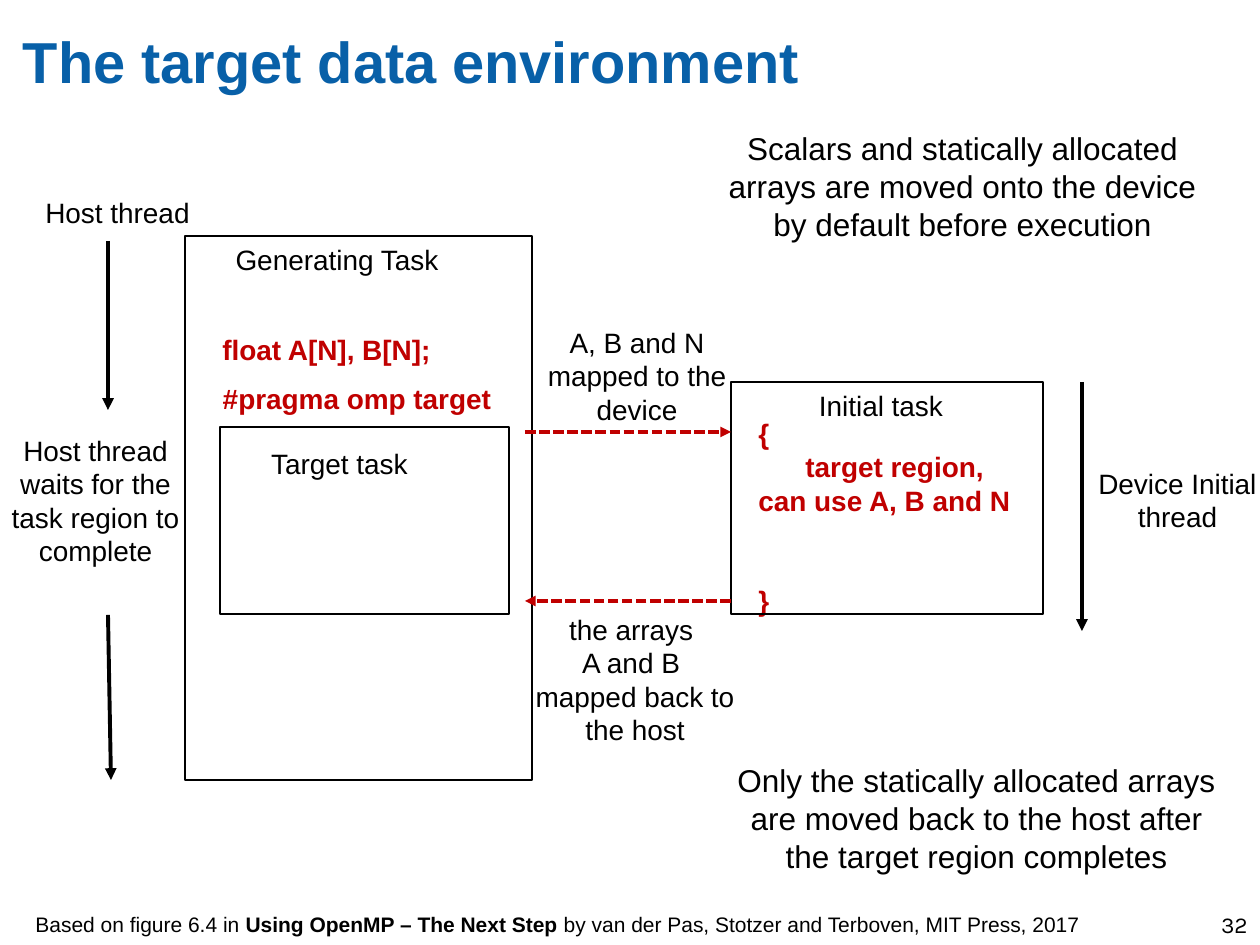
from dataclasses import dataclass

from lxml import etree
from pptx import Presentation
from pptx import util as u
from pptx.dml.color import RGBColor
from pptx.enum import dml, shapes, text
from pptx.oxml.ns import qn

PX_PER_INCH = 126
LEFT, CENTER, RIGHT = text.PP_ALIGN.LEFT, text.PP_ALIGN.CENTER, text.PP_ALIGN.RIGHT


@dataclass(frozen=True)
class Theme:
    title: str = "0860A8"
    ink: str = "000000"
    code: str = "C00000"
    font: str = "Arial"
    number_font: str = "Karla"
    title_size: int = 33
    note_size: int = 18
    label_size: int = 16
    number_size: int = 13
    source_size: int = 12


THEME = Theme()


def px(length):
    return u.Emu(round(length * u.Inches(1) / PX_PER_INCH))


def set_all(target, values):
    for name, value in values.items():
        setattr(target, name, value)


def add_spans(para, spans, size, color, font):
    """Write (wording, bold) spans; a newline in the wording is a line break."""
    for wording, bold in spans:
        for index, line in enumerate(wording.split("\n")):
            if index:
                para.add_line_break()
            span = para.add_run()
            span.text = line
            set_all(span.font, {"name": font, "size": u.Pt(size), "bold": bold})
            span.font.color.rgb = RGBColor.from_string(color)


def add_text(page, area, paras, size=THEME.label_size, color=THEME.ink, bold=False,
             align=CENTER, font=THEME.font, frame_format=None):
    """Each paragraph is a string or a list of (wording, bold) spans."""
    box = page.shapes.add_textbox(*map(px, area))
    frame = box.text_frame
    set_all(frame, {"word_wrap": True, **(frame_format or {})})
    for index, content in enumerate(paras):
        para = frame.add_paragraph() if index else frame.paragraphs[0]
        para.alignment = align
        spans = [(content, bold)] if isinstance(content, str) else content
        add_spans(para, spans, size, color, font)
    return frame


def add_frame(page, area):
    frame = page.shapes.add_shape(shapes.MSO_SHAPE.RECTANGLE, *map(px, area))
    frame.shadow.inherit = False
    frame.fill.background()
    frame.line.color.rgb = RGBColor.from_string(THEME.ink)
    frame.line.width = u.Pt(1.5)


def add_arrow(page, start, end, color=THEME.ink, width=2.25, dash=None):
    arrow = page.shapes.add_connector(
        shapes.MSO_CONNECTOR.STRAIGHT, *map(px, start + end))
    arrow.line.color.rgb = RGBColor.from_string(color)
    set_all(arrow.line, {"width": u.Pt(width), "dash_style": dash})
    properties = arrow._element.spPr
    etree.SubElement(properties.find(qn("a:ln")), qn("a:tailEnd"), type="triangle")
    etree.SubElement(properties, qn("a:effectLst"))


def add_target_region(page):
    frame = add_text(
        page, (746, 410, 296, 217),
        ["{", "target region, can use A, B and N", "}"],
        color=THEME.code, bold=True, align=LEFT)
    _, body, closing = frame.paragraphs
    body._p.get_or_add_pPr().set("indent", str(px(47)))
    closing.space_before = u.Pt(38)


def add_labels(page):
    labels = [
        ((14, 189, 207, 47), ["Host thread"]),
        ((220, 236, 234, 47), ["Generating Task"]),
        ((764, 382, 234, 47), ["Initial task"]),
        ((232, 440, 215, 47), ["Target task"]),
        ((1074, 460, 207, 81), ["Device Initial thread"]),
        ((-8, 427, 207, 149),
         ["Host thread", "waits for the task region to complete"]),
        ((520, 319, 234, 115), ["A, B and N mapped to the device"]),
        ((518, 606, 234, 149), ["the arrays \nA and B \nmapped back to the host"]),
    ]
    for area, paras in labels:
        add_text(page, area, paras)

    for area, code in [((193, 326, 267, 47), "float A[N], B[N];"),
                       ((181, 375, 352, 47), "#pragma omp target")]:
        add_text(page, area, [code], color=THEME.code, bold=True)

    notes = [
        ((704, 123, 517, 127), "Scalars and statically allocated arrays are moved "
                               "onto the device by default before execution"),
        ((718, 755, 517, 127), "Only the statically allocated arrays are moved back "
                               "to the host after the target region completes"),
    ]
    for area, note in notes:
        add_text(page, area, [note], size=THEME.note_size)


def add_diagram(page):
    for start, end in [((108, 241), (108, 410)),
                       ((108, 615), (111, 780)),
                       ((1082, 382), (1082, 631))]:
        add_arrow(page, start, end)

    for area in [(731, 382, 312, 232), (185, 236, 347, 544), (220, 427, 289, 187)]:
        add_frame(page, area)

    host_x, device_x = 525, 731
    for start, end in [((host_x, 432), (device_x, 432)),
                       ((device_x, 601), (host_x, 601))]:
        add_arrow(page, start, end, THEME.code, 2, dml.MSO_LINE.SQUARE_DOT)


def main():
    deck = Presentation()
    set_all(deck, {"slide_width": px(1260), "slide_height": px(945)})
    page = deck.slides.add_slide(deck.slide_layouts[6])

    no_margins = dict.fromkeys(
        ("margin_left", "margin_top", "margin_right", "margin_bottom"), 0)
    add_text(page, (23, 26, 1135, 122), ["The target data environment"],
             THEME.title_size, THEME.title, True, LEFT, frame_format=no_margins)
    add_labels(page)
    add_target_region(page)
    add_diagram(page)
    source = [("Based on figure 6.4 in ", False),
              ("Using OpenMP – The Next Step ", True),
              ("by van der Pas, Stotzer and Terboven, MIT Press, 2017", False)]
    add_text(page, (23, 905, 1215, 38), [source], THEME.source_size, align=LEFT)
    add_text(page, (1155, 903, 105, 42), ["32"], THEME.number_size, align=RIGHT,
             font=THEME.number_font,
             frame_format={"vertical_anchor": text.MSO_ANCHOR.MIDDLE})
    deck.save("out.pptx")


if __name__ == "__main__":
    main()
